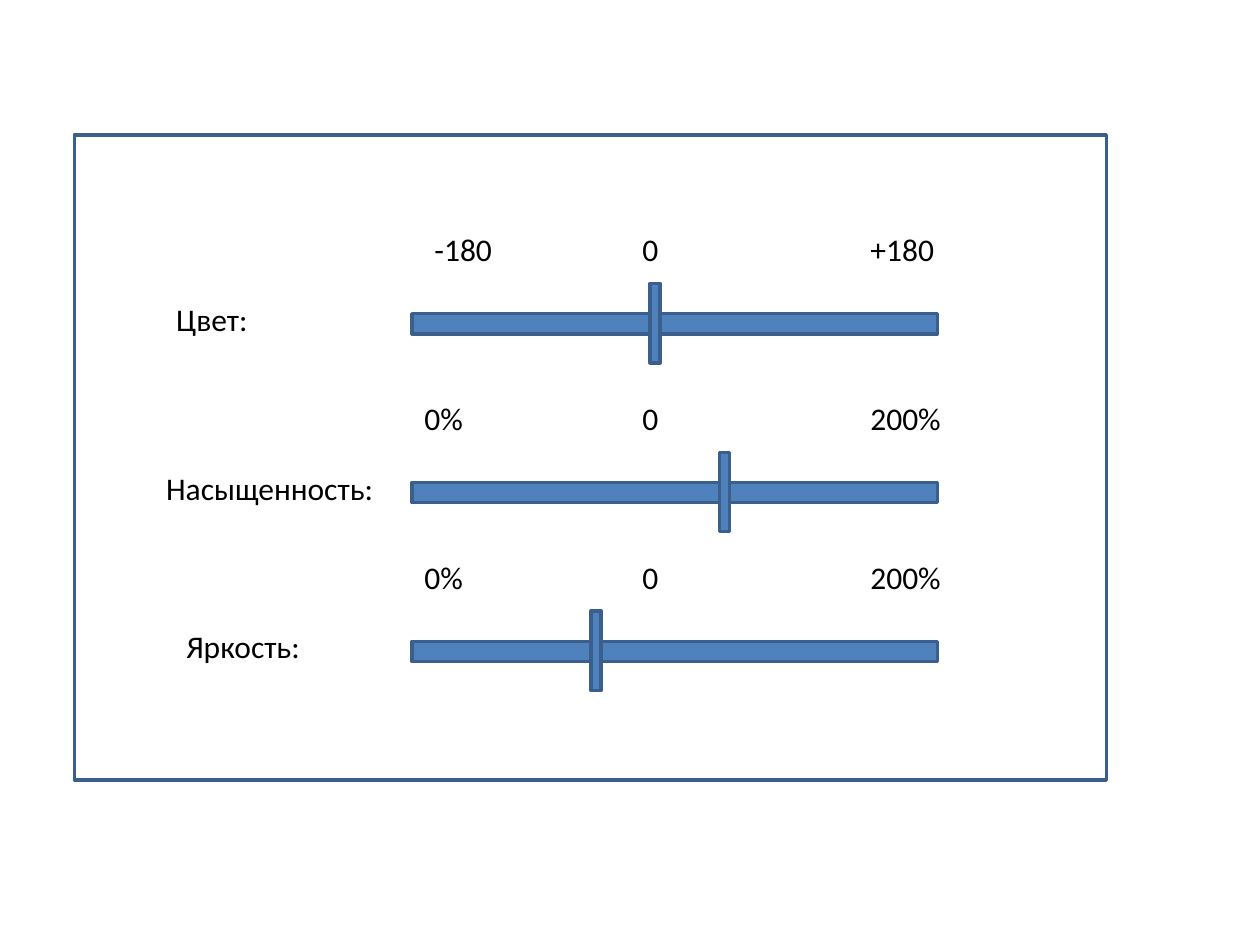
from pptx import Presentation
from pptx.dml.color import RGBColor
from pptx.enum.shapes import MSO_SHAPE
from pptx.enum.text import MSO_AUTO_SIZE
from pptx.util import Inches, Pt


def add_label(text, left, top, width, height=0.4, size=18, font="Calibri", color="000000"):
    """Add a one-line text box that does not wrap."""
    shape = slide.shapes.add_textbox(Inches(left), Inches(top), Inches(width), Inches(height))
    frame = shape.text_frame
    frame.word_wrap = False
    frame.auto_size = MSO_AUTO_SIZE.SHAPE_TO_FIT_TEXT
    run = frame.paragraphs[0].add_run()
    run.text = text
    run.font.size = Pt(size)
    run.font.name = font
    run.font.color.rgb = RGBColor.from_string(color)


def add_rectangle(left, top, width, height, fill="4F81BD", line="3A5F8C"):
    """Add an outlined rectangle; a fill of None leaves it hollow."""
    shape = slide.shapes.add_shape(
        MSO_SHAPE.RECTANGLE, Inches(left), Inches(top), Inches(width), Inches(height))
    shape.shadow.inherit = False
    if fill:
        shape.fill.solid()
        shape.fill.fore_color.rgb = RGBColor.from_string(fill)
    else:
        shape.fill.background()
    shape.line.color.rgb = RGBColor.from_string(line)
    shape.line.width = Pt(2)


presentation = Presentation()
presentation.slide_width = Inches(10)
presentation.slide_height = Inches(7.5)
slide = presentation.slides.add_slide(presentation.slide_layouts[6])

# Each slider: top, (name, left, width), (minimum, left, width), (maximum, width), handle left
sliders = [
    (1.78, ("Цвет:", 1.3, 0.78), ("-180", 3.35, 0.66), ("+180", 0.71), 5.16),
    (3.12, ("Насыщенность:", 1.22, 1.87), ("0%", 3.27, 0.51), ("200%", 0.77), 5.71),
    (4.38, ("Яркость:", 1.38, 1.12), ("0%", 3.27, 0.51), ("200%", 0.77), 4.69),
]
for top, name, minimum, maximum, handle_left in sliders:
    name_text, name_left, name_width = name
    minimum_text, minimum_left, minimum_width = minimum
    maximum_text, maximum_width = maximum
    add_label(name_text, name_left, top + 0.55, name_width)
    add_rectangle(3.27, top + 0.71, 4.17, 0.16)
    add_rectangle(handle_left, top + 0.47, 0.08, 0.63)
    add_label(minimum_text, minimum_left, top, minimum_width)
    add_label(maximum_text, 6.81, top, maximum_width)
    add_label("0", 5, top, 0.33)

add_rectangle(0.59, 1.07, 8.19, 5.12, fill=None)

presentation.save("out.pptx")
